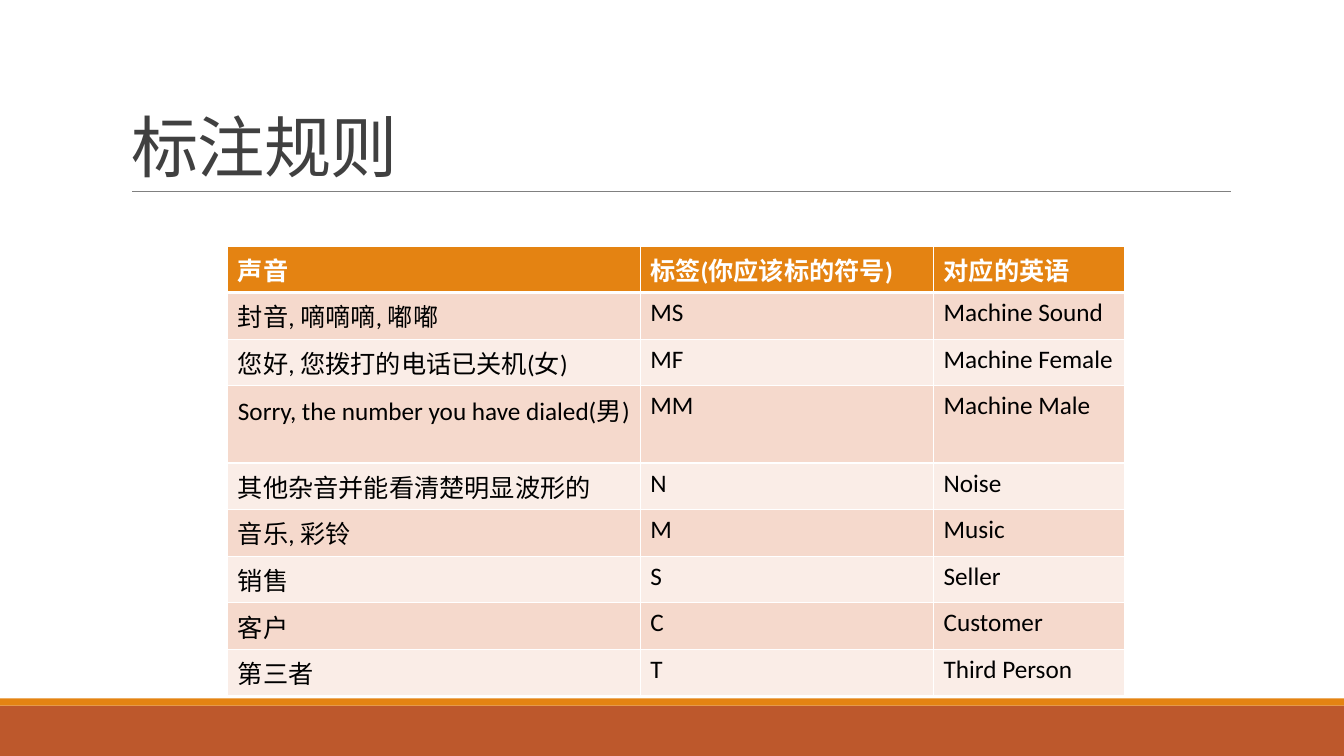
from lxml import etree
from pptx import Presentation
from pptx import util as u
from pptx.dml.color import RGBColor
from pptx.enum import shapes, text
from pptx.oxml.ns import qn

# Content
TITLE = "标注规则"
ROWS = [
    ("声音", "标签(你应该标的符号)", "对应的英语"),
    ("封音, 嘀嘀嘀, 嘟嘟", "MS", "Machine Sound"),
    ("您好, 您拨打的电话已关机(女)", "MF", "Machine Female"),
    ("Sorry, the number you have dialed(男)", "MM", "Machine Male"),
    ("其他杂音并能看清楚明显波形的", "N", "Noise"),
    ("音乐, 彩铃", "M", "Music"),
    ("销售", "S", "Seller"),
    ("客户", "C", "Customer"),
    ("第三者", "T", "Third Person"),
]
COLUMN_WIDTHS = (4.09, 2.91, 1.89)
HEADER_HEIGHT, ROW_HEIGHT = 0.36, 0.41
COLORS = {
    "rust": "BD582C", "orange": "E48312", "rule": "808080", "title": "404040",
    "white": "FFFFFF", "black": "000000", "odd": "F5D9CC", "even": "FAEDE7",
}
BARS = [(7, 0.5, "rust"), (6.93, 0.07, "orange")]
TITLE_FONT = {"name": "Calibri", "size": u.Pt(48), "bold": False}
HEADER_FONT = {"name": "Calibri", "size": u.Pt(18), "bold": True}
BODY_FONT = {**HEADER_FONT, "bold": False}


def color(name):
    return RGBColor.from_string(COLORS[name])


def write(frame, words, font, ink):
    para = frame.paragraphs[0]
    span = para.add_run()
    span.text = words
    for key, value in font.items():
        setattr(span.font, key, value)
    span.font.color.rgb = color(ink)
    return para, span


def set_border(cell, side, points):
    line = etree.SubElement(cell._tc.get_or_add_tcPr(), qn(f"a:ln{side}"),
                            w=str(u.Pt(points)))
    fill = etree.SubElement(line, qn("a:solidFill"))
    etree.SubElement(fill, qn("a:srgbClr"), val=COLORS["white"])


deck = Presentation()
deck.slide_width, deck.slide_height = u.Inches(13.33), u.Inches(7.5)
page = deck.slides.add_slide(deck.slide_layouts[5])

# Bottom bars
for top, height, fill in BARS:
    bar = page.shapes.add_shape(shapes.MSO_SHAPE.RECTANGLE, 0, u.Inches(top),
                                deck.slide_width, u.Inches(height))
    bar.shadow.inherit = False
    bar.fill.solid()
    bar.fill.fore_color.rgb = color(fill)
    bar.line.fill.background()

# Rule under the title
rule = page.shapes.add_connector(shapes.MSO_CONNECTOR.STRAIGHT, u.Inches(1.31),
                                 u.Inches(1.9), u.Inches(12.21), u.Inches(1.9))
rule.line.color.rgb = color("rule")
rule.line.width = u.Pt(0.5)
etree.SubElement(rule._element.spPr, qn("a:effectLst"))

# Title
title = page.shapes.title
title.left, title.top, title.width, title.height = map(u.Inches, (1.2, 0.31, 11, 1.59))
frame = title.text_frame
frame.auto_size = text.MSO_AUTO_SIZE.NONE
frame.vertical_anchor = text.MSO_ANCHOR.BOTTOM
para, span = write(frame, TITLE, TITLE_FONT, "title")
para.alignment = text.PP_ALIGN.LEFT
para.line_spacing = 0.85
span.font._element.set("spc", "-50")

# Table
heights = [HEADER_HEIGHT] + [ROW_HEIGHT] * (len(ROWS) - 1)
table = page.shapes.add_table(
    len(ROWS), len(COLUMN_WIDTHS), u.Inches(2.26), u.Inches(2.44),
    u.Inches(sum(COLUMN_WIDTHS)), u.Inches(sum(heights))).table
for column, width in zip(table.columns, COLUMN_WIDTHS):
    column.width = u.Inches(width)
for index, (row, height, words) in enumerate(zip(table.rows, heights, ROWS)):
    row.height = u.Inches(height)
    header = index == 0
    fill = "orange" if header else ("even", "odd")[index % 2]
    borders = {"L": 1, "R": 1, "T": 3 if index == 1 else 1, "B": 3 if header else 1}
    for cell, label in zip(row.cells, words):
        for side, points in borders.items():
            set_border(cell, side, points)
        cell.fill.solid()
        cell.fill.fore_color.rgb = color(fill)
        write(cell.text_frame, label, HEADER_FONT if header else BODY_FONT,
              "white" if header else "black")

deck.save("out.pptx")
